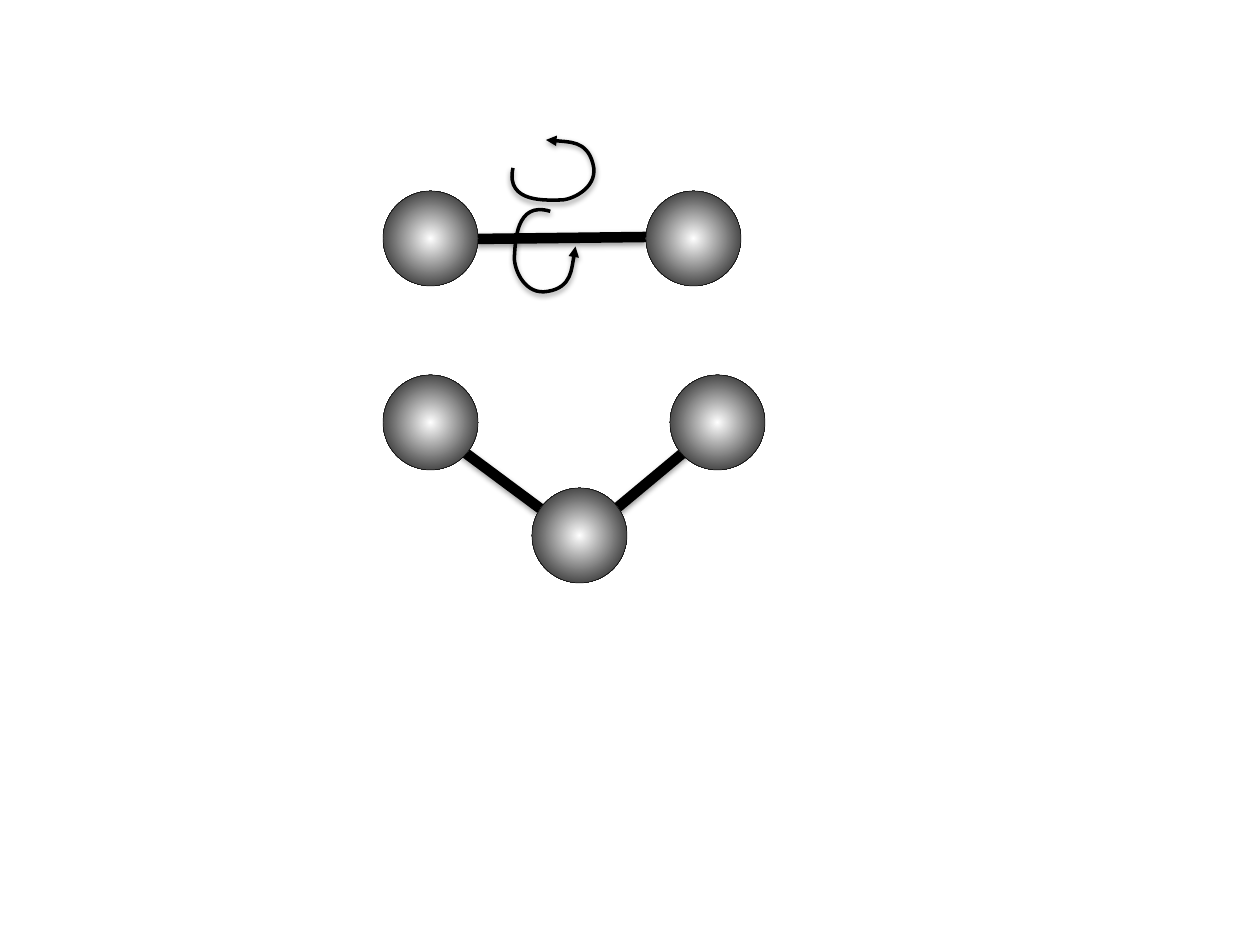
"""Build a slide of two ball-and-stick molecules with rotation arrows."""
import pptx
import pptx.dml.color
import pptx.enum.shapes
import pptx.oxml
import pptx.oxml.ns
import pptx.util

PX = 914400 // 126
COLORS = {"ink": "000000", "glow": "FFFFFF"}
SPHERE_SIZE = 95
SPHERES = [(383, 191), (646, 191), (383, 375), (532, 488), (670, 375)]
BONDS = [((581, 538), (719, 423)), ((425, 423), (580, 538)), ((476, 239), (646, 237))]
CURVE_START = (513, 168)
CURVE = [
    ((505, 204), (548, 200), (562, 200)),
    ((575, 199), (599, 186), (593, 164)),
    ((587, 140), (546, 140), (546, 140)),
]
ROTATION_ARROWS = [((0, 0), 0), ((-8, 81), 94.7)]

NAMESPACE = pptx.oxml.ns.nsdecls("a")
SHADOW = (
    f'<a:effectLst {NAMESPACE}><a:outerShdw blurRad="40000" dist="20000" dir="5400000" rotWithShape="0">'
    f'<a:srgbClr val="{COLORS["ink"]}"><a:alpha val="38000"/></a:srgbClr></a:outerShdw></a:effectLst>'
)
ARROWHEAD = f'<a:tailEnd {NAMESPACE} type="triangle"/>'
RADIAL = (
    f'<a:path {NAMESPACE} path="circle">'
    '<a:fillToRect l="50000" t="50000" r="50000" b="50000"/></a:path>'
)


def color(name):
    return pptx.dml.color.RGBColor.from_string(COLORS[name])


def set_line(shape, points):
    shape.line.color.rgb = color("ink")
    shape.line.width = pptx.util.Pt(points)


def add_shadow(shape):
    shape._element.spPr.append(pptx.oxml.parse_xml(SHADOW))


def add_bond(page, start, end):
    bond = page.shapes.add_connector(
        pptx.enum.shapes.MSO_CONNECTOR.STRAIGHT, *(value * PX for value in start + end)
    )
    set_line(bond, 6)
    add_shadow(bond)


def add_sphere(page, left, top):
    sphere = page.shapes.add_shape(
        pptx.enum.shapes.MSO_SHAPE.OVAL, left * PX, top * PX, SPHERE_SIZE * PX, SPHERE_SIZE * PX
    )
    sphere.shadow.inherit = False
    sphere.fill.gradient()
    for stop, name in zip(sphere.fill.gradient_stops, ("glow", "ink")):
        stop.color.rgb = color(name)
    direction = sphere._element.spPr.find(".//" + pptx.oxml.ns.qn("a:lin"))
    direction.getparent().replace(direction, pptx.oxml.parse_xml(RADIAL))
    set_line(sphere, 0.25)


def add_rotation_arrow(page, offset, angle):
    anchors = [segment[-1] for segment in CURVE]
    left, top = (min(values) for values in zip(CURVE_START, *anchors))
    builder = page.shapes.build_freeform(*CURVE_START, scale=PX)
    builder.add_line_segments(anchors, close=False)
    arrow = builder.convert_to_shape()
    sides = list(arrow._element.spPr.iter(pptx.oxml.ns.qn("a:lnTo")))
    for side, segment in zip(sides, CURVE):
        points = "".join(f'<a:pt x="{x - left}" y="{y - top}"/>' for x, y in segment)
        bezier = f"<a:cubicBezTo {NAMESPACE}>{points}</a:cubicBezTo>"
        side.getparent().replace(side, pptx.oxml.parse_xml(bezier))
    arrow.left += offset[0] * PX
    arrow.top += offset[1] * PX
    arrow.rotation = angle
    arrow.fill.background()
    set_line(arrow, 2)
    arrow.line._get_or_add_ln().append(pptx.oxml.parse_xml(ARROWHEAD))
    add_shadow(arrow)


def main():
    deck = pptx.Presentation()
    deck.slide_width = 1260 * PX
    deck.slide_height = 945 * PX
    page = deck.slides.add_slide(deck.slide_layouts[6])
    for start, end in BONDS:
        add_bond(page, start, end)
    for left, top in SPHERES:
        add_sphere(page, left, top)
    for offset, angle in ROTATION_ARROWS:
        add_rotation_arrow(page, offset, angle)
    deck.save("out.pptx")


if __name__ == "__main__":
    main()
